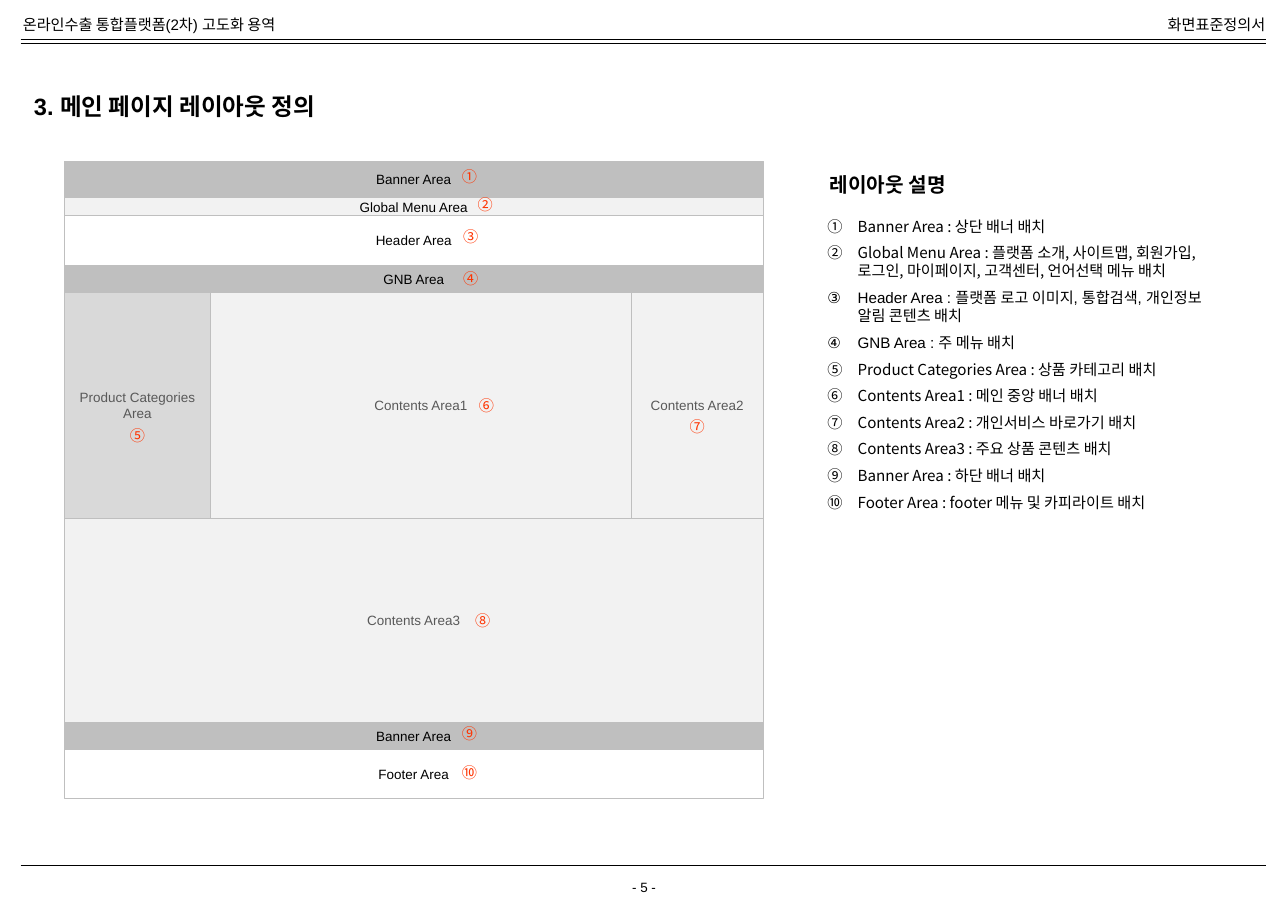
from collections import namedtuple

from lxml.etree import SubElement
from pptx import Presentation
from pptx.dml.color import RGBColor
from pptx.enum.shapes import MSO_CONNECTOR as Connector, MSO_SHAPE as Shape
from pptx.enum.text import MSO_ANCHOR as Anchor, MSO_AUTO_SIZE as AutoSize, PP_ALIGN as Align
from pptx.oxml.ns import qn
from pptx.util import Inches, Pt

Box = namedtuple("Box", "left top width height")
Area = namedtuple("Area", "name share fill color shift", defaults=((0, 0),))

BLACK = RGBColor(0x00, 0x00, 0x00)
WHITE = RGBColor(0xFF, 0xFF, 0xFF)
GRAY = RGBColor(0x59, 0x59, 0x59)
BORDER = RGBColor(0xBF, 0xBF, 0xBF)
MIDDLE = RGBColor(0xD9, 0xD9, 0xD9)
PALE = RGBColor(0xF2, 0xF2, 0xF2)
RED = RGBColor(0xFF, 0x33, 0x00)
ARIAL = "Arial"
NOTO = "Noto Sans CJK KR"
WIDTH, HEIGHT = 10.63, 7.5
MARKS = "①②③④⑤⑥⑦⑧⑨⑩"

CONTENTS = [
    Area("Product Categories Area", 1.21, MIDDLE, GRAY, (0, 0.25)),
    Area("Contents Area1", 3.47, PALE, GRAY, (0.54, 0)),
    Area("Contents Area2", 1.09, PALE, GRAY, (0, 0.17)),
]
ROWS = [
    (0.30, [Area("Banner Area", 1, BORDER, BLACK, (0.46, -0.02))]),
    (0.15, [Area("Global Menu Area", 1, PALE, BLACK, (0.59, -0.02))]),
    (0.41, [Area("Header Area", 1, WHITE, BLACK, (0.47, -0.03))]),
    (0.22, [Area("GNB Area", 1, BORDER, BLACK, (0.47, 0))]),
    (1.87, CONTENTS),
    (1.68, [Area("Contents Area3", 1, PALE, GRAY, (0.57, 0))]),
    (0.22, [Area("Banner Area", 1, BORDER, BLACK, (0.46, -0.02))]),
    (0.41, [Area("Footer Area", 1, WHITE, BLACK, (0.46, -0.01))]),
]
NOTES = [
    ("Banner Area : 상단 배너 배치", NOTO),
    ("Global Menu Area : 플랫폼 소개, 사이트맵, 회원가입, 로그인, 마이페이지, 고객센터, 언어선택 메뉴 배치", NOTO),
    ("Header Area : 플랫폼 로고 이미지, 통합검색, 개인정보 알림 콘텐츠 배치", ARIAL),
    ("GNB Area : 주 메뉴 배치", ARIAL),
    ("Product Categories Area : 상품 카테고리 배치", NOTO),
    ("Contents Area1 : 메인 중앙 배너 배치", NOTO),
    ("Contents Area2 : 개인서비스 바로가기 배치", NOTO),
    ("Contents Area3 : 주요 상품 콘텐츠 배치", NOTO),
    ("Banner Area : 하단 배너 배치", NOTO),
    ("Footer Area : footer 메뉴 및 카피라이트 배치", NOTO),
]


def inches(box):
    return [Inches(value) for value in box]


def write(para, text, size=9, font=ARIAL, color=BLACK, bold=False, align=Align.LEFT):
    para.alignment = align
    span = para.add_run()
    span.text = text
    span.font.size = Pt(size)
    span.font.name = font
    span.font.bold = bold
    span.font.color.rgb = color
    SubElement(span.font._element, qn("a:ea")).set("typeface", NOTO)


def add_frame(page, box, wrap=False):
    frame = page.shapes.add_textbox(*inches(box)).text_frame
    frame.word_wrap = wrap
    frame.auto_size = AutoSize.SHAPE_TO_FIT_TEXT
    return frame


def add_text(page, box, text, **style):
    write(add_frame(page, box).paragraphs[0], text, **style)


def add_rule(page, box, top):
    ends = inches((box.left, top, box.left + box.width, top))
    rule = page.shapes.add_connector(Connector.STRAIGHT, *ends)
    rule.line.color.rgb = BLACK
    rule.line.width = Pt(0.25)
    SubElement(rule._element.spPr, qn("a:effectLst"))


def add_header(page, box):
    for top in (box.top + 0.24, box.top + 0.28):
        add_rule(page, box, top)
    add_text(page, Box(box.left - 0.08, box.top, 2.5, 0.25), "온라인수출 통합플랫폼(2차) 고도화 용역")
    right = box.left + box.width + 0.09
    add_text(page, Box(right - 1.09, box.top, 1.09, 0.25), "화면표준정의서", align=Align.RIGHT)


def add_footer(page, box):
    add_rule(page, box, box.top)
    number = Box(box.left + box.width / 2 - 0.34, box.top + 0.06, 0.69, 0.24)
    add_text(page, number, "- 5 -", size=8, align=Align.CENTER)


def add_title(page, box):
    title = page.shapes.title
    title.left, title.top, title.width, title.height = inches(box)
    frame = title.text_frame
    frame.auto_size = AutoSize.NONE
    frame.word_wrap = True
    frame.vertical_anchor = Anchor.MIDDLE
    frame.margin_left = frame.margin_right = Inches(0.05)
    frame.margin_top = frame.margin_bottom = Inches(0.08)
    write(frame.paragraphs[0], "3. 메인 페이지 레이아웃 정의", size=14, bold=True)


def add_area(group, box, area):
    shape = group.shapes.add_shape(Shape.RECTANGLE, *inches(box))
    shape.shadow.inherit = False
    shape.fill.solid()
    shape.fill.fore_color.rgb = area.fill
    shape.line.color.rgb = BORDER
    shape.line.width = Pt(0.75)
    frame = shape.text_frame
    frame.vertical_anchor = Anchor.MIDDLE
    frame.margin_left = frame.margin_right = Inches(0.08)
    write(frame.paragraphs[0], area.name, size=8, color=area.color, align=Align.CENTER)


def add_mark(page, box, area, mark):
    across, down = area.shift
    left = box.left + box.width / 2 + across - 0.165
    top = box.top + box.height / 2 + down - 0.125
    add_text(page, Box(left, top, 0.33, 0.25), mark, font=NOTO, color=RED, align=Align.CENTER)


def split(box):
    top = box.top
    total = sum(share for share, _ in ROWS)
    for share, areas in ROWS:
        height = box.height * share / total
        left = box.left
        for area in areas:
            width = box.width * area.share / sum(each.share for each in areas)
            yield Box(left, top, width, height), area
            left += width
        top += height


def add_wireframe(page, box):
    cells = list(split(box))
    group = page.shapes.add_group_shape()
    for cell, area in cells:
        add_area(group, cell, area)
    for mark, (cell, area) in zip(MARKS, cells):
        add_mark(page, cell, area, mark)


def add_notes(page, box):
    heading = Box(box.left + 0.02, box.top, 1.27, 0.3)
    add_text(page, heading, "레이아웃 설명", size=12, font=NOTO, bold=True)
    frame = add_frame(page, Box(box.left, box.top + 0.37, box.width, box.height - 0.37), wrap=True)
    for index, (text, font) in enumerate(NOTES):
        para = frame.add_paragraph() if index else frame.paragraphs[0]
        para.space_after = Pt(5)
        props = para._p.get_or_add_pPr()
        props.set("marL", str(Inches(0.25)))
        props.set("indent", str(-Inches(0.25)))
        SubElement(props, qn("a:buFont")).set("typeface", NOTO)
        SubElement(props, qn("a:buAutoNum")).set("type", "circleNumDbPlain")
        write(para, text, font=font)


def main():
    deck = Presentation()
    deck.slide_width, deck.slide_height = Inches(WIDTH), Inches(HEIGHT)
    page = deck.slides.add_slide(deck.slide_layouts[5])
    add_header(page, Box(0.17, 0.08, 10.28, 0.28))
    add_footer(page, Box(0.17, 7.14, 10.28, 0.3))
    add_wireframe(page, Box(0.53, 1.33, 5.77, 5.26))
    add_notes(page, Box(6.73, 1.37, 3.45, 2.92))
    add_title(page, Box(0.23, 0.68, 3.63, 0.39))
    deck.save("out.pptx")


if __name__ == "__main__":
    main()
